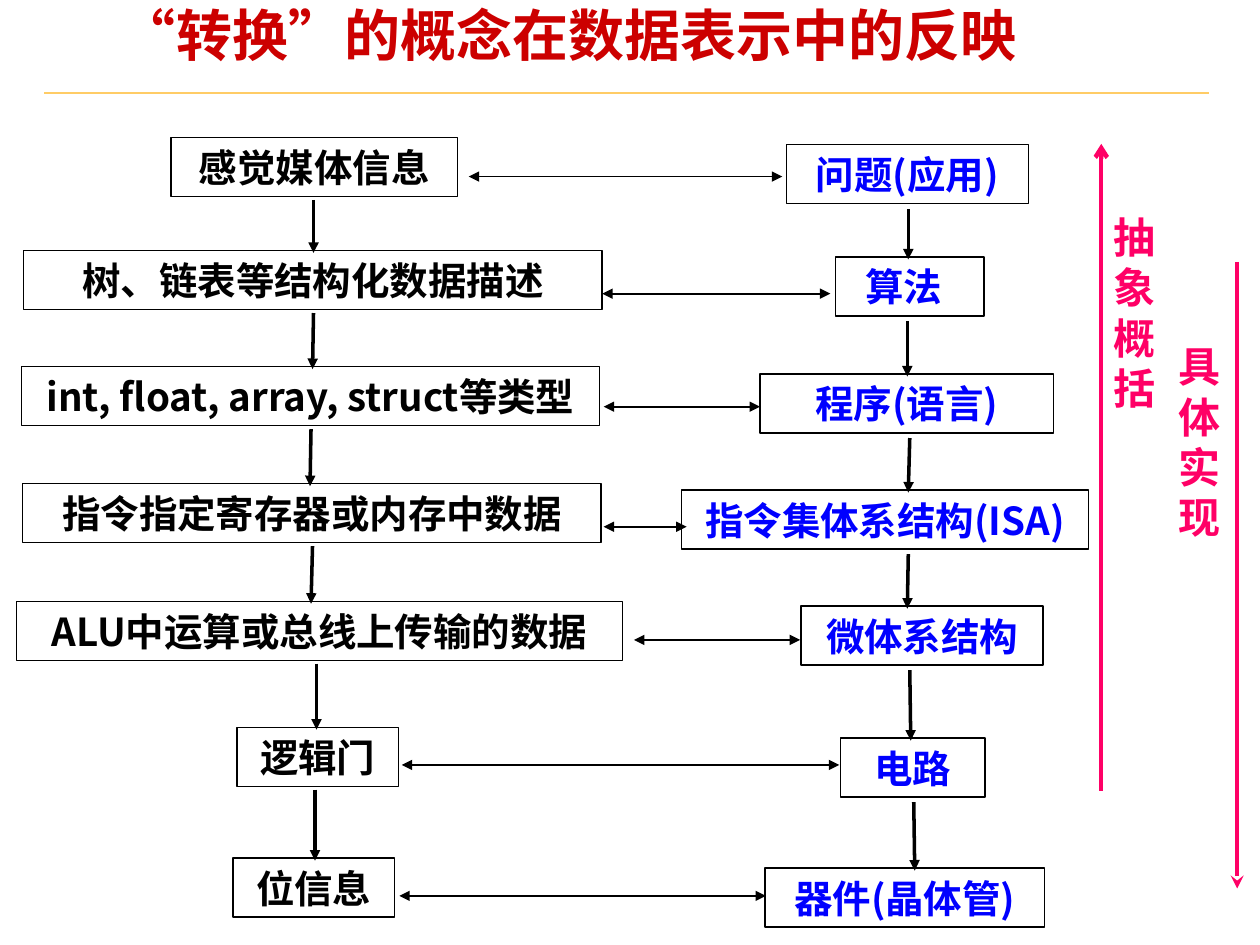
import pptx
import pptx.util
import pptx.dml.color
import pptx.enum.shapes
import pptx.enum.text
import pptx.oxml
import pptx.oxml.ns
import lxml.etree

Cm, Pt = pptx.util.Cm, pptx.util.Pt
RGBColor = pptx.dml.color.RGBColor
ALIGN = pptx.enum.text.PP_ALIGN
ANCHOR = pptx.enum.text.MSO_ANCHOR

BLACK = RGBColor(0x00, 0x00, 0x00)
BLUE = RGBColor(0x00, 0x00, 0xFF)
RED = RGBColor(0xCC, 0x00, 0x00)
PINK = RGBColor(0xFF, 0x00, 0x66)
GOLD = RGBColor(0xFF, 0xCC, 0x66)
SANS, SERIF = "Noto Sans CJK SC", "Times New Roman"
BOX_HEIGHT = 1.19
ARROW_OVERLAP = 0.05

# Content, all lengths in centimetres
TITLE = "“转换”的概念在数据表示中的反映"

# Each box: text, left, top, width; each arrow: x at its start and end
DATA_BOXES = [
    ("感觉媒体信息", 3.45, 2.77, 5.77),
    ("树、链表等结构化数据描述", 0.48, 5.05, 11.66),
    ("int, float, array, struct等类型", 0.43, 7.39, 11.66),
    ("指令指定寄存器或内存中数据", 0.46, 9.75, 11.66),
    ("ALU中运算或总线上传输的数据", 0.33, 12.12, 12.22),
    ("逻辑门", 4.78, 14.66, 3.25),
    ("位信息", 4.7, 17.3, 3.25),
]
DATA_ARROWS = [(6.32, 6.32), (6.32, 6.3), (6.27, 6.25),
               (6.3, 6.27), (6.38, 6.38), (6.35, 6.35)]
SYSTEM_BOXES = [
    ("问题(应用)", 15.85, 2.92, 4.88),
    ("算法", 16.84, 5.18, 3.0),
    ("程序(语言)", 15.32, 7.54, 5.92),
    ("指令集体系结构(ISA)", 13.74, 9.88, 8.2),
    ("微体系结构", 16.15, 12.22, 4.88),
    ("电路", 16.94, 14.88, 2.92),
    ("器件(晶体管)", 15.42, 17.5, 5.64),
]
SYSTEM_ARROWS = [(18.31, 18.31), (18.29, 18.29), (18.34, 18.31),
                 (18.31, 18.29), (18.34, 18.36), (18.42, 18.44)]
# Boxes, arrows, text colour, gap between a box and the arrow below it
COLUMNS = [
    (DATA_BOXES, DATA_ARROWS, BLACK, 0.07),
    (SYSTEM_BOXES, SYSTEM_ARROWS, BLUE, 0.1),
]
# Right end, left end, y
LEVEL_LINKS = [
    (15.77, 9.45, 3.56), (16.74, 12.14, 5.92), (15.32, 12.17, 8.2),
    (13.84, 12.17, 10.62), (16.13, 12.78, 12.9), (16.92, 8.1, 15.42),
    (15.44, 8.05, 18.06),
]
# Text, text left, text top, arrow x, arrow top, arrow bottom, arrowheads
DIRECTIONS = [
    ("具体实现", 23.5, 6.65, 24.94, 5.28, 17.91, {"tail": "stealth"}),
    ("抽象概括", 22.2, 4.04, 22.2, 2.9, 15.95, {"head": "arrow"}),
]

deck = pptx.Presentation()
deck.slide_width, deck.slide_height = Cm(25.4), Cm(19.05)
page = deck.slides.add_slide(deck.slide_layouts[6])


def write(box, text, *, size, color, font=SANS, align=ALIGN.LEFT,
          anchor=ANCHOR.TOP, side=0.25, top=0, spacing=None, indent=None):
    """Put one bold paragraph into a box."""
    frame = box.text_frame
    frame.word_wrap = True
    frame.vertical_anchor = anchor
    frame.margin_left = frame.margin_right = Cm(side)
    frame.margin_top, frame.margin_bottom = Cm(top), 0
    para = frame.paragraphs[0]
    para.alignment = align
    if spacing:
        para.line_spacing = spacing
    if indent:
        para._p.get_or_add_pPr().set("marL", str(Cm(indent)))
    span = para.add_run()
    span.text = text
    span.font.size, span.font.bold, span.font.name = Pt(size), True, font
    span.font.color.rgb = color
    east_asian = pptx.oxml.ns.qn("a:ea")
    lxml.etree.SubElement(span._r.rPr, east_asian).set("typeface", SANS)


def add_line(x1, y1, x2, y2, color, width, head=None, tail=None):
    line = page.shapes.add_connector(
        pptx.enum.shapes.MSO_CONNECTOR.STRAIGHT, Cm(x1), Cm(y1), Cm(x2), Cm(y2))
    line.line.color.rgb = color
    line.line.width = Pt(width)
    for tag, kind in (("a:headEnd", head), ("a:tailEnd", tail)):
        if kind:
            end = lxml.etree.SubElement(line.line._ln, pptx.oxml.ns.qn(tag))
            end.set("type", kind)
    properties = line._element.spPr
    lxml.etree.SubElement(properties, pptx.oxml.ns.qn("a:effectLst"))


def add_box(text, left, top, width, color):
    box = page.shapes.add_shape(
        pptx.enum.shapes.MSO_SHAPE.RECTANGLE,
        Cm(left), Cm(top), Cm(width), Cm(BOX_HEIGHT))
    box.shadow.inherit = False
    box.fill.background()
    box.line.color.rgb = BLACK
    box.line.width = Pt(0.75)
    layout = {"align": ALIGN.CENTER}
    if text == "算法":
        layout = {"indent": 0.36}
    elif "ISA" in text:
        layout["side"] = 0
    write(box, text, size=22, color=color, anchor=ANCHOR.MIDDLE, **layout)


# Title and rule
add_line(0.89, 1.88, 24.38, 1.88, GOLD, 1)
title = page.shapes.add_textbox(Cm(2.24), Cm(0.28), Cm(21.03), Cm(1.5))
write(title, TITLE, size=32, color=RED, side=0.18, spacing=0.8)

# Long arrows with one character per line beside them
for text, left, top, x, start, stop, ends in DIRECTIONS:
    add_line(x, start, x, stop, PINK, 2.5, **ends)
    label = page.shapes.add_textbox(Cm(left), Cm(top), Cm(1.32), Cm(4.32))
    write(label, text, size=24, color=PINK, font=SERIF, top=0.22,
          spacing=Pt(28.8))

# Two columns of levels, each box leading to the next
for boxes, arrows, color, gap in COLUMNS:
    for text, left, top, width in boxes:
        add_box(text, left, top, width, color)
    for upper, lower, (x1, x2) in zip(boxes, boxes[1:], arrows):
        add_line(x1, upper[2] + BOX_HEIGHT + gap, x2,
                 lower[2] + ARROW_OVERLAP, BLACK, 2, tail="triangle")

# Links between the columns
for right, left, y in LEVEL_LINKS:
    add_line(right, y, left, y, BLACK, 1, head="triangle", tail="triangle")

deck.save("out.pptx")
